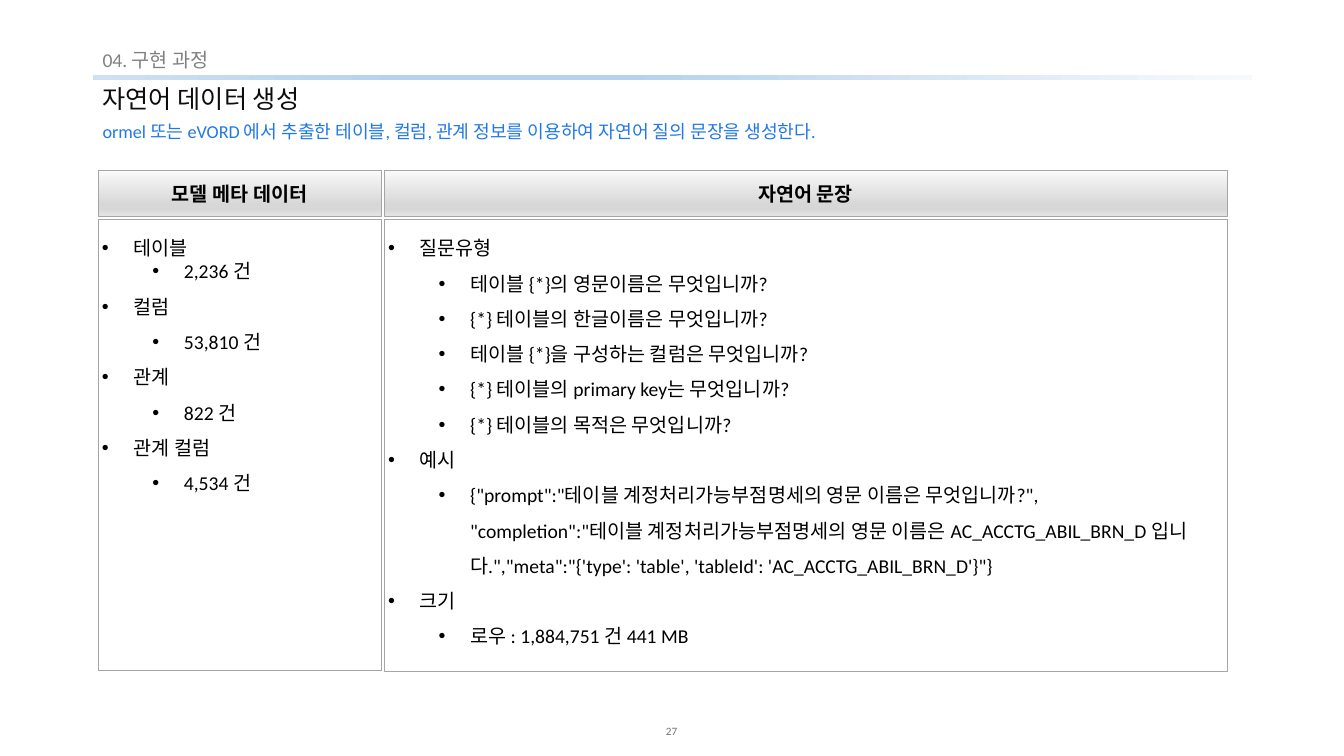
import dataclasses

import lxml.etree
import pptx
import pptx.dml.color
import pptx.enum.shapes
import pptx.enum.text
import pptx.oxml.ns
import pptx.util

Pt = pptx.util.Pt
qn = pptx.oxml.ns.qn
RGB = pptx.dml.color.RGBColor.from_string
ALIGN = pptx.enum.text.PP_ALIGN
ANCHOR = pptx.enum.text.MSO_ANCHOR
RECT = pptx.enum.shapes.MSO_SHAPE.RECTANGLE


@dataclasses.dataclass(frozen=True)
class Theme:
    """Hold the colours, type sizes and font of the slide."""
    font: str = "Calibri"
    ink: str = "000000"
    title: str = "0D0D0D"
    path_ink: str = "808080"
    lead: str = "2278E7"
    page: str = "767171"
    edge: str = "A5A5A5"
    paper: str = "FFFFFF"
    bar: tuple = ((0, "F7FAFD"), (54, "B5D2EC"), (73, "B5D2EC"), (100, "CEE1F2"))
    head: tuple = ((0, "FAFAFA"), (74, "D7D7D7"), (83, "D7D7D7"), (100, "E4E4E4"))
    big: int = 18
    mid: int = 14
    note: int = 13
    tiny: int = 8


THEME = Theme()


def apply(target, values):
    """Set each attribute named in values on target."""
    for name, value in values.items():
        setattr(target, name, value)


def inset(frame, left, top, right, bottom, anchor):
    """Set the margins, wrapping and anchor of a text frame."""
    apply(frame, {"margin_left": Pt(left), "margin_top": Pt(top),
                  "margin_right": Pt(right), "margin_bottom": Pt(bottom),
                  "word_wrap": True, "vertical_anchor": anchor})


def write(para, text, size, color, bold=False, **form):
    """Fill a paragraph with styled text."""
    para.text = text
    apply(para, form)
    for run in para.runs:
        apply(run.font, {"name": THEME.font, "size": Pt(size), "bold": bold})
        run.font.color.rgb = RGB(color)
    for gap in para._p.findall(qn("a:br")):
        lxml.etree.SubElement(gap, qn("a:rPr")).set("sz", str(size * 100))


def label(slide, box, text, size, color, anchor=ANCHOR.TOP,
          pad=(7.2, 3.6, 7.2, 3.6), **form):
    """Add a text box with one line."""
    frame = slide.shapes.add_textbox(*map(Pt, box)).text_frame
    inset(frame, *pad, anchor)
    write(frame.paragraphs[0], text, size, color, **form)


def blend(shape, stops, angle):
    """Fill a shape with a gradient of several stops."""
    shape.fill.gradient()
    shape.fill.gradient_angle = angle
    group = shape._element.spPr.find(qn("a:gradFill")).find(qn("a:gsLst"))
    for old in list(group):
        group.remove(old)
    for place, color in stops:
        stop = lxml.etree.SubElement(group, qn("a:gs"), pos=str(place * 1000))
        lxml.etree.SubElement(stop, qn("a:srgbClr"), val=color)


def block(slide, box):
    """Add a plain rectangle without a shadow."""
    shape = slide.shapes.add_shape(RECT, *map(Pt, box))
    shape.shadow.inherit = False
    return shape


def frame_box(slide, box, anchor):
    """Add a thinly outlined rectangle ready for text."""
    shape = block(slide, box)
    shape.line.color.rgb = RGB(THEME.edge)
    shape.line.width = Pt(0.5)
    inset(shape.text_frame, 2.88, 3.6, 2.88, 3.6, anchor)
    return shape


def bullet(para, level):
    """Give a paragraph a hanging bullet for its level."""
    para.level = level
    props = para._p.get_or_add_pPr()
    props.set("marL", str(Pt(22.5 + 36 * level)))
    props.set("indent", str(Pt(-22.5)))
    lxml.etree.SubElement(props, qn("a:buFont"), typeface="Arial")
    lxml.etree.SubElement(props, qn("a:buChar"), char="•")


def panel(slide, left, top, width, title, items):
    """Add a column with a header and a bulleted body."""
    head = frame_box(slide, (left, 121.7, width, 33.1), ANCHOR.MIDDLE)
    blend(head, THEME.head, 270)
    write(head.text_frame.paragraphs[0], title, THEME.mid, THEME.ink, True,
          alignment=ALIGN.CENTER)
    body = frame_box(slide, (left, top, width, 322.6), ANCHOR.TOP)
    body.fill.solid()
    body.fill.fore_color.rgb = RGB(THEME.paper)
    frame = body.text_frame
    for index, (level, text, space) in enumerate(items):
        para = frame.add_paragraph() if index else frame.paragraphs[0]
        write(para, text, THEME.mid, THEME.ink, alignment=ALIGN.LEFT,
              line_spacing=space)
        bullet(para, level)


def outline(groups, tight=()):
    """Flatten topics and their points into levelled items."""
    for topic, points in groups.items():
        yield 0, topic, 1.5
        for point in points:
            yield 1, point, 1.0 if point in tight else 1.5


def main():
    """Build the slide and save it."""
    deck = pptx.Presentation()
    apply(deck, {"slide_width": Pt(960), "slide_height": Pt(540)})
    slide = deck.slides.add_slide(deck.slide_layouts[6])

    label(slide, (465.8, 509, 28, 28.8), "27", THEME.tiny, THEME.page,
          ANCHOR.MIDDLE, (0, 3.6, 0, 5.76), alignment=ALIGN.CENTER)
    bar = block(slide, (66.2, 53.6, 828, 3.6))
    bar.line.fill.background()
    blend(bar, THEME.bar, 180)
    label(slide, (66.2, 57.6, 828, 27.4), "자연어 데이터 생성", THEME.big,
          THEME.title, ANCHOR.MIDDLE, line_spacing=0.9)
    form = {"line_spacing": 0.9, "space_before": Pt(10)}
    label(slide, (66.2, 32.4, 828, 23), "04. 구현 과정", THEME.mid,
          THEME.path_ink, **form)
    label(slide, (66.2, 84.3, 828, 20.2),
          "ormel 또는 eVORD 에서 추출한 테이블, 컬럼, 관계 정보를 이용하여 "
          "자연어 질의 문장을 생성한다.", THEME.note, THEME.lead, **form)

    counts = {"테이블": ["2,236 건"], "컬럼": ["53,810 건"],
              "관계": ["822 건"], "관계 컬럼": ["4,534 건"]}
    panel(slide, 70, 156.5, 202.4, "모델 메타 데이터",
          outline(counts, ["2,236 건"]))
    asks = {
        "질문유형": [
            "테이블 {*}의 영문이름은 무엇입니까?",
            "{*} 테이블의 한글이름은 무엇입니까?",
            "테이블 {*}을 구성하는 컬럼은 무엇입니까?",
            "{*} 테이블의 primary key는 무엇입니까?",
            "{*} 테이블의 목적은 무엇입니까?"],
        "예시": [
            '{"prompt":"테이블 계정처리가능부점명세의 영문 이름은 무엇입니까?",\n'
            '"completion":"테이블 계정처리가능부점명세의 영문 이름은 '
            'AC_ACCTG_ABIL_BRN_D 입니다.",'
            '"meta":"{\'type\': \'table\', \'tableId\': \'AC_ACCTG_ABIL_BRN_D\'}"}'],
        "크기": ["로우 : 1,884,751 건 441 MB"]}
    panel(slide, 274.4, 156.8, 602, "자연어 문장", outline(asks))
    deck.save("out.pptx")


if __name__ == "__main__":
    main()
